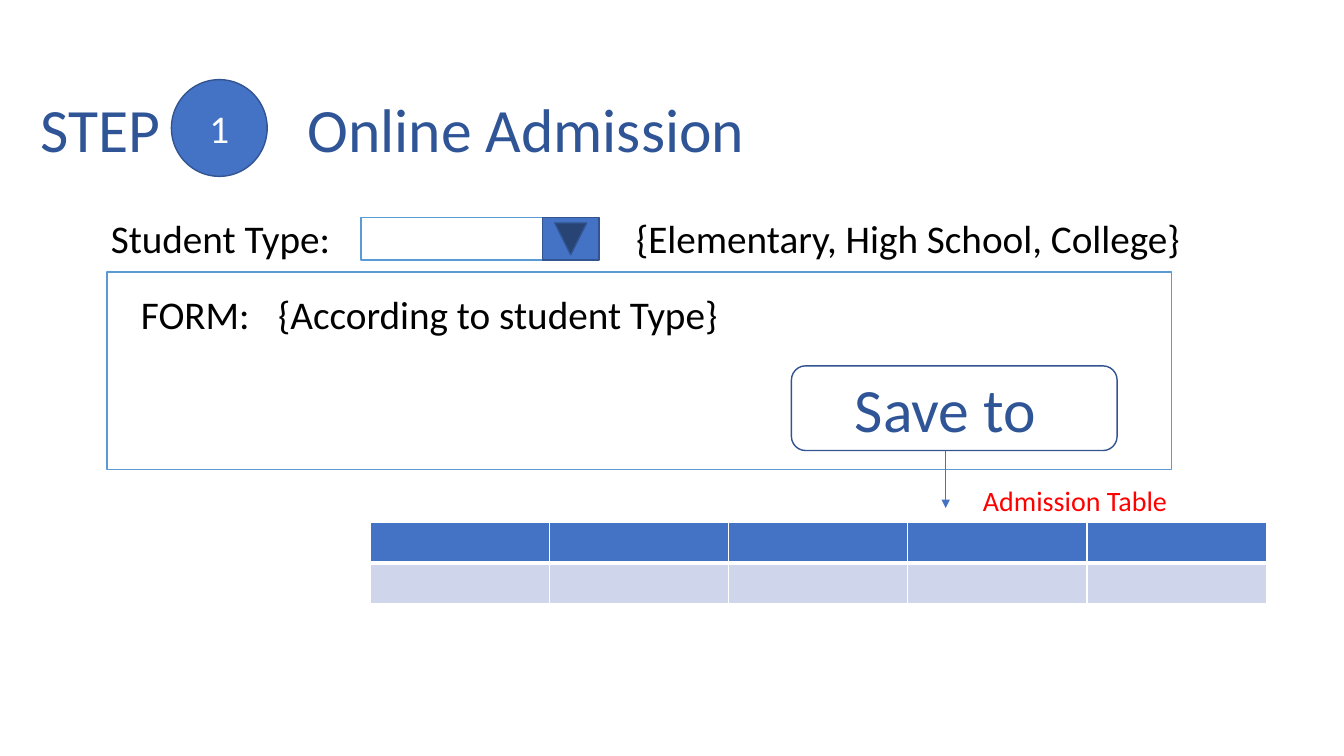
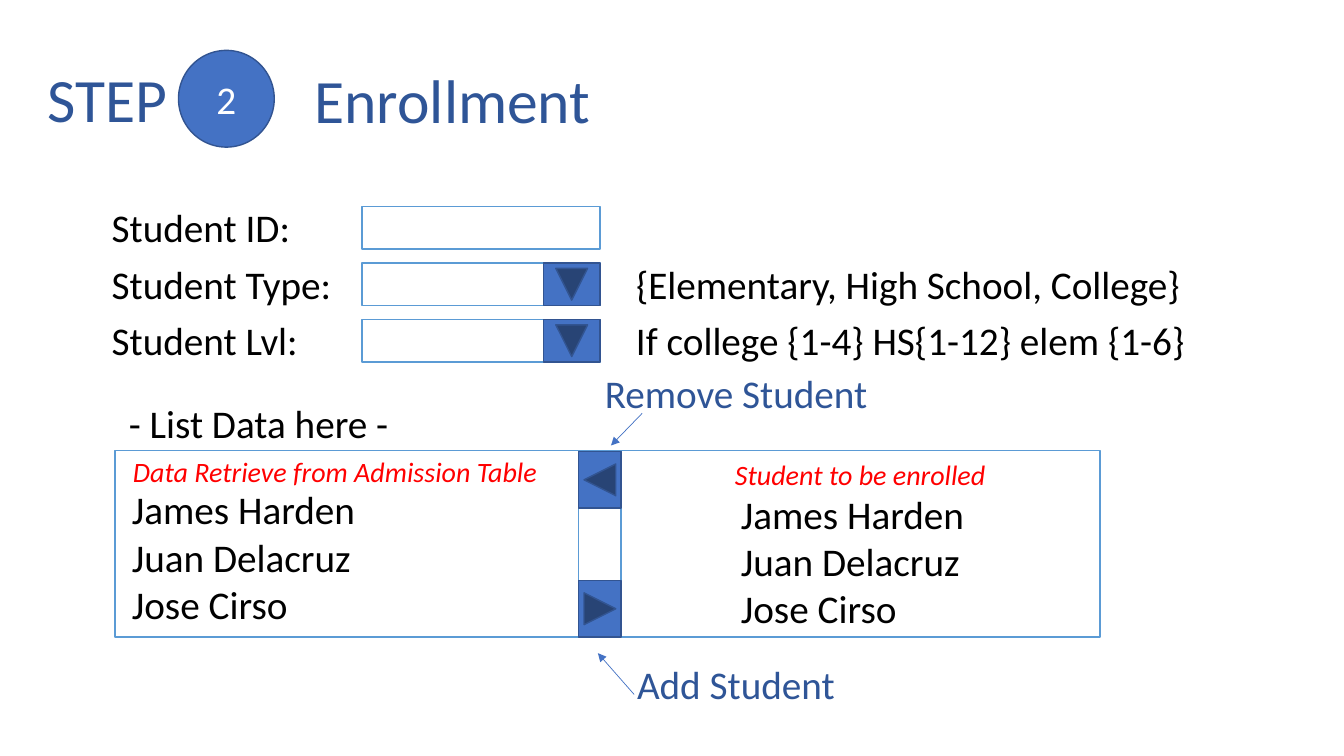
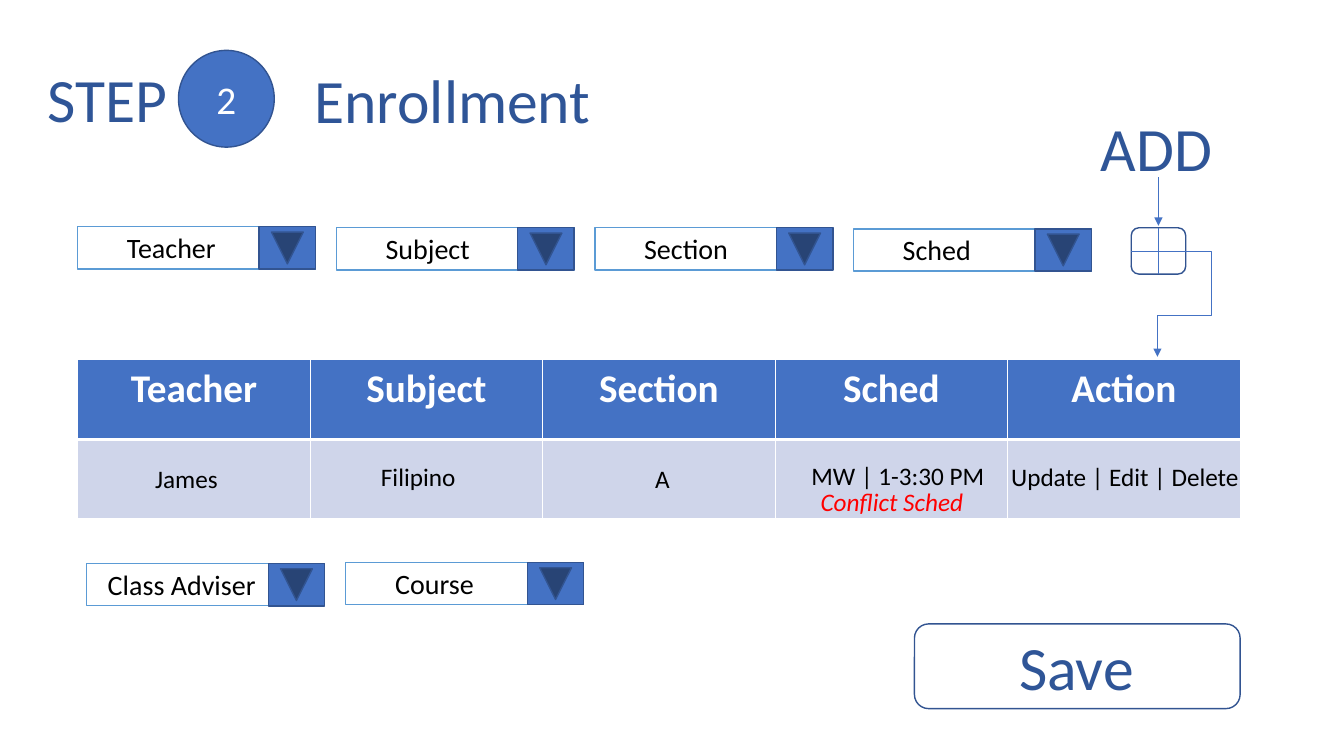
from lxml.etree import SubElement
from pptx import Presentation
from pptx.dml.color import RGBColor
from pptx.enum.shapes import MSO_CONNECTOR, MSO_SHAPE
from pptx.enum.text import MSO_ANCHOR, MSO_AUTO_SIZE, PP_ALIGN
from pptx.oxml.ns import qn
from pptx.util import Inches, Pt

WHITE = RGBColor(0xFF, 0xFF, 0xFF)
BLACK = RGBColor(0x00, 0x00, 0x00)
RED = RGBColor(0xFF, 0x00, 0x00)
BLUE = RGBColor(0x44, 0x72, 0xC4)
DARK_BLUE = RGBColor(0x32, 0x54, 0x91)
TITLE_BLUE = RGBColor(0x2F, 0x55, 0x97)
LIGHT_BLUE = RGBColor(0x5B, 0x9B, 0xD5)
PALE_BLUE = RGBColor(0xCF, 0xD5, 0xEA)

TEXT_STYLES = {
    "heading": ({"size": Pt(44)}, TITLE_BLUE),
    "action": ({"size": Pt(28)}, TITLE_BLUE),
    "body": ({"size": Pt(28)}, BLACK),
    "label": ({"size": Pt(20)}, BLACK),
    "cell": ({"size": Pt(18)}, BLACK),
    "table name": ({"size": Pt(20)}, RED),
    "note": ({"size": Pt(20), "italic": True}, RED),
    "warning": ({"size": Pt(18), "italic": True}, RED),
    "badge": ({"size": Pt(28)}, WHITE),
    "column": ({"size": Pt(28), "bold": True}, WHITE),
}
FRAME_FORMAT = {
    "word_wrap": False,
    "auto_size": MSO_AUTO_SIZE.SHAPE_TO_FIT_TEXT,
    "vertical_anchor": MSO_ANCHOR.TOP,
}
LINE_HEIGHTS = {"heading": 0.84, "action": 0.57, "body": 0.57, "label": 0.44,
                "cell": 0.4, "table name": 0.44, "note": 0.44, "warning": 0.4}
FIELD_WIDTH, FIELD_HEIGHT = 2.36, 0.42
ARROW_WIDTH, ARROW_HEIGHT = 0.42, 0.56
SIDES = {"top": 0, "left": 1, "bottom": 2, "right": 3}


class Page:
    """Draws the shared elements on the current slide; lengths are in inches."""

    def __init__(self, deck):
        self.deck = deck
        self.slide = None
        self.shapes = None

    def start(self, left, top, number, title, title_width):
        """Opens a slide with its STEP heading, numbered badge and title."""
        self.slide = self.deck.slides.add_slide(self.deck.slide_layouts[5])
        self.shapes = self.slide.shapes
        heading = self.shapes.title
        position = {"left": left + 2.65, "top": top, "width": title_width, "height": 0.84}
        for name, value in position.items():
            setattr(heading, name, Inches(value))
        self.fill_frame(heading.text_frame, title, "heading")
        self.text("STEP", left, top, 1.4, "heading")
        badge = self.shape(MSO_SHAPE.OVAL, left + 1.4, top - 0.06, 0.95, 0.96, BLUE, DARK_BLUE)
        badge.text_frame.text = str(number)
        self.format_paragraph(badge.text_frame.paragraphs[0], "badge", PP_ALIGN.CENTER)
        badge.text_frame.vertical_anchor = MSO_ANCHOR.MIDDLE

    def format_paragraph(self, para, style, alignment=PP_ALIGN.LEFT):
        para.alignment = alignment
        values, color = TEXT_STYLES[style]
        for span in para.runs:
            for name, value in {"name": "Calibri", **values}.items():
                setattr(span.font, name, value)
            span.font.color.rgb = color

    def fill_frame(self, frame, content, style):
        frame.text = content
        for name, value in FRAME_FORMAT.items():
            setattr(frame, name, value)
        for para in frame.paragraphs:
            self.format_paragraph(para, style)

    def text(self, content, left, top, width, style="body"):
        height = LINE_HEIGHTS[style] + 0.47 * content.count("\n")
        box = self.shapes.add_textbox(*map(Inches, (left, top, width, height)))
        self.fill_frame(box.text_frame, content, style)

    def shape(self, kind, left, top, width, height, fill=WHITE, line=LIGHT_BLUE):
        shape = self.shapes.add_shape(kind, *map(Inches, (left, top, width, height)))
        shape.shadow.inherit = False
        shape.fill.solid()
        shape.fill.fore_color.rgb = fill
        shape.line.color.rgb = line
        shape.line.width = Pt(1)
        return shape

    def arrow_button(self, left, top, rotation):
        button = self.shape(MSO_SHAPE.ACTION_BUTTON_FORWARD_OR_NEXT, left, top,
                            ARROW_WIDTH, ARROW_HEIGHT, BLUE, DARK_BLUE)
        button.rotation = rotation

    def field(self, left, top):
        self.shape(MSO_SHAPE.RECTANGLE, left, top, FIELD_WIDTH, FIELD_HEIGHT)

    def dropdown(self, left, top, label="", label_width=1, indent=0.39):
        self.field(left, top)
        self.arrow_button(left + 1.87, top + (FIELD_HEIGHT - ARROW_HEIGHT) / 2, 90)
        if label:
            self.text(label, left + indent, top - 0.01, label_width, "label")

    def save_button(self, left, top, label, indent, label_width):
        self.shape(MSO_SHAPE.ROUNDED_RECTANGLE, left, top, 3.23, 0.84, line=DARK_BLUE)
        self.text(label, left + indent, top, label_width, "heading")

    def line(self, start, end, arrow=True, kind=MSO_CONNECTOR.STRAIGHT):
        line = self.shapes.add_connector(kind, *map(Inches, (*start, *end)))
        line.line.color.rgb = BLUE
        line.line.width = Pt(0.5)
        if arrow:
            SubElement(line.line._get_or_add_ln(), qn("a:tailEnd"), type="triangle")
        SubElement(line._element.spPr, qn("a:effectLst"))
        return line

    def cross_line(self, shape, first_side, last_side):
        """Joins the middles of two sides of one shape."""
        line = self.line((0, 0), (1, 1), arrow=False)
        line.begin_connect(shape, SIDES[first_side])
        line.end_connect(shape, SIDES[last_side])

    def bent_arrow(self, start, end, adjustments):
        """Draws a three-bend arrow; adjustments place the bends as shares of its size."""
        arrow = self.line(start, end, kind=MSO_CONNECTOR.ELBOW)
        geometry = arrow._element.spPr.find(qn("a:prstGeom"))
        geometry.set("prst", "bentConnector4")
        guides = geometry.find(qn("a:avLst"))
        if guides is None:
            guides = SubElement(geometry, qn("a:avLst"))
        for index, share in enumerate(adjustments, 1):
            SubElement(guides, qn("a:gd"), name=f"adj{index}", fmla=f"val {round(share * 100000)}")

    def table(self, left, top, width, height, headings):
        """Draws a heading row above one empty row."""
        frame = self.shapes.add_table(2, len(headings), *map(Inches, (left, top, width, height)))
        table = frame.table
        for column, heading in enumerate(headings):
            for row, fill in enumerate((BLUE, PALE_BLUE)):
                cell = table.cell(row, column)
                self.cell_borders(cell, {"L": 1, "R": 1, "T": 3 if row else 1, "B": 1 if row else 3})
                cell.fill.solid()
                cell.fill.fore_color.rgb = fill
            if heading:
                head = table.cell(0, column)
                head.text = heading
                self.format_paragraph(head.text_frame.paragraphs[0], "column", PP_ALIGN.CENTER)

    def cell_borders(self, cell, widths):
        properties = cell._tc.get_or_add_tcPr()
        for side, width in widths.items():
            border = SubElement(properties, qn(f"a:ln{side}"), w=str(Pt(width)))
            fill = SubElement(border, qn("a:solidFill"))
            SubElement(fill, qn("a:srgbClr"), val=str(WHITE))


def draw_admission(page):
    page.start(0.3, 0.85, 1, "Online Admission", 4.58)
    page.shape(MSO_SHAPE.RECTANGLE, 1.06, 2.7, 10.56, 1.96)
    page.text("Student Type:", 1, 2.08, 2.49)
    page.dropdown(3.58, 2.16)
    page.text("{Elementary, High School, College}", 6.21, 2.08, 5.65)
    page.text("FORM:", 1.3, 2.83, 1.47)
    page.text("{According to student Type}", 2.66, 2.83, 4.61)
    page.save_button(7.85, 3.63, "Save to", 0.53, 2.02)
    page.table(3.67, 5.18, 8.89, 0.81, [""] * 5)
    page.text("Admission Table", 9.65, 4.75, 2.05, "table name")
    page.line((9.38, 4.47), (9.38, 5.04))


def draw_enrollment_lists(page):
    page.start(0.37, 0.56, 2, "Enrollment", 2.97)
    fields = [
        ("Student ID:", 2.08, page.field, "", 0),
        ("Student Type:", 2.49, page.dropdown, "{Elementary, High School, College}", 5.65),
        ("Student Lvl:", 2.16, page.dropdown, "If college {1-4} HS{1-12} elem {1-6}", 5.77),
    ]
    for index, (label, label_width, draw_field, hint, hint_width) in enumerate(fields):
        top = 2.05 + 0.56 * index
        page.text(label, 1.01, top - 0.08, label_width)
        draw_field(3.59, top)
        if hint:
            page.text(hint, 6.21, top - 0.08, hint_width)

    page.text("- List Data here -", 1.18, 3.91, 2.89)
    page.shape(MSO_SHAPE.RECTANGLE, 1.14, 4.47, 9.77, 1.85)
    page.shape(MSO_SHAPE.RECTANGLE, 5.74, 4.47, 0.42, 1.85)
    page.arrow_button(5.74, 4.48, 180)
    page.arrow_button(5.74, 5.76, 0)
    students = "James Harden\nJuan Delacruz\nJose Cirso"
    for left, top in ((1.21, 4.77), (7.25, 4.81)):
        page.text(students, left, top, 2.44)
    page.text("Data Retrieve from Admission Table", 1.22, 4.46, 4.24, "note")
    page.text("Student to be enrolled", 7.19, 4.49, 2.7, "note")
    page.text("Remove Student", 5.9, 3.61, 2.83, "action")
    page.line((6.37, 4.1), (6.06, 4.42))
    page.text("Add Student", 6.22, 6.5, 2.19, "action")
    page.line((6.29, 6.89), (5.93, 6.48))


def draw_enrollment_schedule(page):
    page.start(0.37, 0.56, 2, "Enrollment", 2.97)
    choices = [("Teacher", 2.25, 1.09), ("Subject", 2.26, 1.05),
               ("Section", 2.26, 1.05), ("Sched", 2.27, 0.89)]
    for index, (label, top, width) in enumerate(choices):
        page.dropdown(0.77 + 2.565 * index, top, label, width)

    page.text("ADD", 10.82, 1.04, 1.32, "heading")
    add_button = page.shape(MSO_SHAPE.ROUNDED_RECTANGLE, 11.22, 2.26, 0.54, 0.46, line=DARK_BLUE)
    page.cross_line(add_button, "bottom", "top")
    page.cross_line(add_button, "left", "right")
    page.line((11.49, 1.76), (11.49, 2.24))

    page.table(0.77, 3.57, 11.53, 1.58, ["Teacher", "Subject", "Section", "Sched", "Action"])
    page.bent_arrow((11.76, 2.49), (11.48, 3.54), (-0.9, 0.61))
    entries = [("James", 1.44, 4.55, 0.83), ("Filipino", 3.68, 4.53, 0.95), ("A", 6.4, 4.55, 0.35),
               ("MW | 1-3:30 PM", 7.95, 4.52, 1.93), ("Update | Edit | Delete", 9.93, 4.53, 2.49)]
    for entry in entries:
        page.text(*entry, "cell")
    page.text("Conflict Sched", 8.04, 4.78, 1.63, "warning")

    page.dropdown(0.86, 5.59, "Class Adviser", 1.69, indent=0.11)
    page.dropdown(3.43, 5.58, "Course", 0.99)
    page.save_button(9.07, 6.19, "Save", 0.94, 1.35)


def main():
    deck = Presentation()
    deck.slide_width, deck.slide_height = Inches(13.33), Inches(7.5)
    page = Page(deck)
    for draw in (draw_admission, draw_enrollment_lists, draw_enrollment_schedule):
        draw(page)
    deck.save("out.pptx")


if __name__ == "__main__":
    main()
